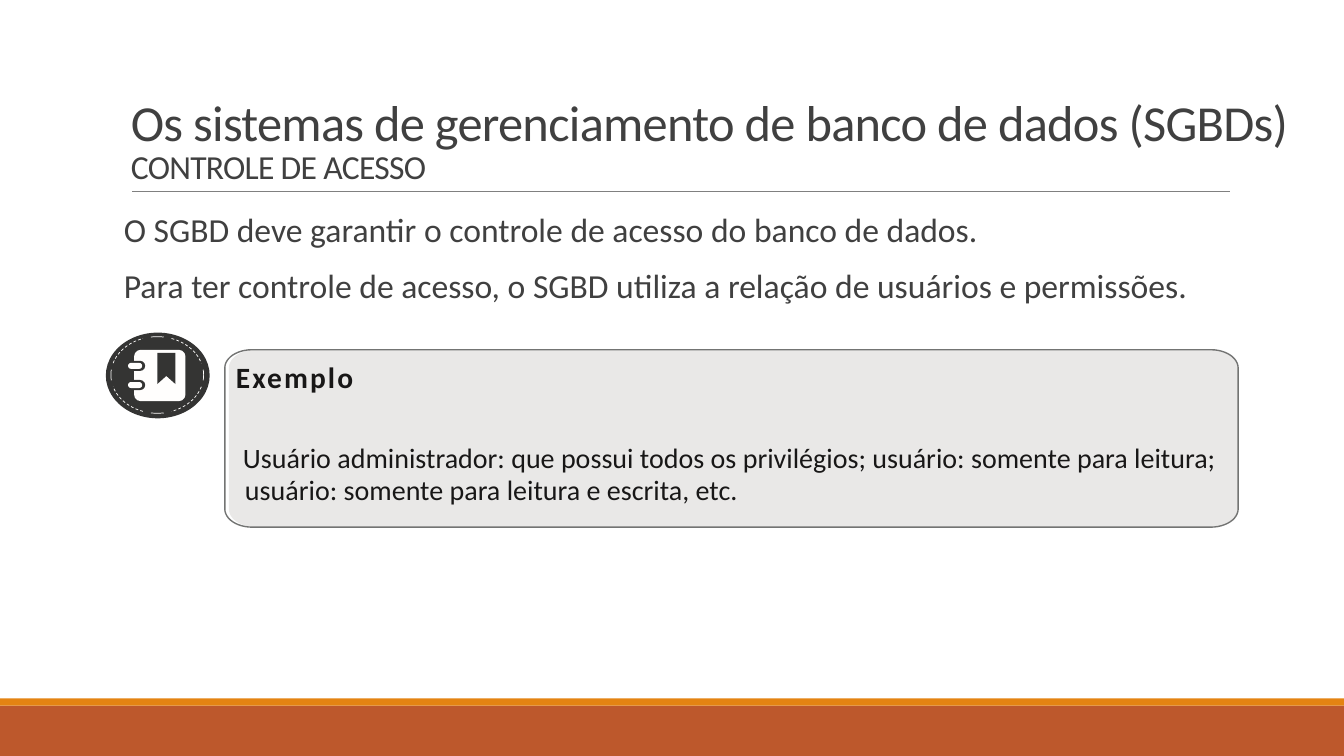
"""Build a slide on access control in database management systems."""
from math import cos, pi, radians, sin
from lxml.etree import SubElement
from pptx import Presentation
from pptx.dml.color import RGBColor
from pptx.enum.dml import MSO_LINE
from pptx.enum.shapes import MSO_CONNECTOR, MSO_SHAPE
from pptx.enum.text import MSO_ANCHOR
from pptx.oxml.ns import qn
from pptx.util import Inches, Pt

deck = Presentation()
deck.slide_width, deck.slide_height = Inches(13.33), Inches(7.5)
slide = deck.slides.add_slide(deck.slide_layouts[6])
shapes = slide.shapes
DARK, WHITE = "343433", "FFFEFD"


def paint(shape, fill=None, line=None, width=0.5):
    shape.shadow.inherit = False
    if fill:
        shape.fill.solid()
        shape.fill.fore_color.rgb = RGBColor.from_string(fill)
    else:
        shape.fill.background()
    if line:
        shape.line.color.rgb = RGBColor.from_string(line)
        shape.line.width = Pt(width)
    else:
        shape.line.fill.background()
    return shape


def write(box, inset, paras, color, space=1.0, before=0, after=0, track=0, bold=False):
    frame = shapes.add_textbox(*map(Inches, box)).text_frame
    frame.word_wrap = True
    frame.margin_left, frame.margin_top, frame.margin_right, frame.margin_bottom = map(Inches, inset)
    for i, runs in enumerate(paras):
        para = frame.add_paragraph() if i else frame.paragraphs[0]
        para.line_spacing = space
        para.space_before, para.space_after = Pt(before), Pt(after)
        for j, (words, size) in enumerate(runs):
            if j:
                para.add_line_break()
            run = para.add_run()
            run.text = words
            run.font.name, run.font.size, run.font.bold = "Calibri", Pt(size), bold
            run.font.color.rgb = RGBColor.from_string(color)
            if track:
                run.font._element.set("spc", str(int(track * 100)))
    return frame


for top, high, color in [(7, 0.5, "BD582C"), (6.93, 0.07, "E48312")]:
    paint(shapes.add_shape(MSO_SHAPE.RECTANGLE, 0, Inches(top), Inches(13.33), Inches(high)), color)

rule = shapes.add_connector(MSO_CONNECTOR.STRAIGHT, Inches(1.31), Inches(1.9), Inches(12.2), Inches(1.9))
rule.line.color.rgb = RGBColor.from_string("808080")
rule.line.width = Pt(0.5)
SubElement(rule._element.spPr, qn("a:effectLst"))

title = write((1.2, 0.31, 11.74, 1.59), (0.1, 0.05, 0.1, 0.05),
              [[("Os sistemas de gerenciamento de banco de dados (SGBDs)", 36), ("CONTROLE DE ACESSO", 24)]],
              "404040", space=0.85, track=-0.5)
title.vertical_anchor = MSO_ANCHOR.BOTTOM

write((1.13, 2.07, 11, 4.4), (0.1, 0.05, 0, 0.05),
      [[("O SGBD deve garantir o controle de acesso do banco de dados.", 24)],
       [("Para ter controle de acesso, o SGBD utiliza a relação de usuários e permissões.", 24)]],
      "404040", space=0.9, before=12, after=2)

for left, right, fill, line in [(2.27, 12.28, "E9E8E7", None), (2.23, 12.28, None, "737473")]:
    top, base, rx, ry = 3.47, 5.23, 0.27, 0.18
    hubs = [(right - rx, base - ry), (left + rx, base - ry), (left + rx, top + ry), (right - rx, top + ry)]
    dots = []
    for turn, (x, y) in enumerate(hubs):
        for step in range(13):
            angle = (turn + step / 12) * pi / 2
            dots.append((Inches(x + rx * cos(angle)), Inches(y + ry * sin(angle))))
    pen = shapes.build_freeform(*dots[0])
    pen.add_line_segments(dots[1:], close=True)
    paint(pen.convert_to_shape(), fill, line, 1)

paint(shapes.add_shape(MSO_SHAPE.OVAL, Inches(1.05), Inches(3.3), Inches(1.03), Inches(0.85)), DARK)
for mid in range(0, 360, 45):
    long = mid % 90 == 45
    half = 27 if long else 8
    dots = []
    for step in range(-8, 9):
        angle = radians(mid + half * step / 8)
        dots.append((Inches(1.56 + 0.46 * cos(angle)), Inches(3.72 + 0.38 * sin(angle))))
    pen = shapes.build_freeform(*dots[0])
    pen.add_line_segments(dots[1:], close=False)
    stitch = paint(pen.convert_to_shape(), line=WHITE)
    if long:
        stitch.line.dash_style = MSO_LINE.DASH

pads = [(1.33, 3.47, 0.51, 0.51, 0.13, WHITE)]
for mid in (3.63, 3.82):
    pads.append((1.24, mid - 0.05, 0.2, 0.1, 0.5, DARK))
    pads.append((1.27, mid - 0.03, 0.14, 0.06, 0.5, WHITE))
for left, top, wide, high, curve, color in pads:
    pad = shapes.add_shape(MSO_SHAPE.ROUNDED_RECTANGLE, *map(Inches, (left, top, wide, high)))
    pad.adjustments[0] = curve
    paint(pad, color)

pen = shapes.build_freeform(Inches(1.56), Inches(3.5))
pen.add_line_segments([(Inches(x), Inches(y)) for x, y in
                       [(1.74, 3.5), (1.74, 3.81), (1.65, 3.73), (1.56, 3.81)]], close=True)
paint(pen.convert_to_shape(), DARK)

write((2.34, 3.56, 2, 0.35), (0, 0, 0, 0), [[("Exemplo", 21)]], "181717", track=1.5, bold=True)
for left, top, words in [
    (2.41, 4.35, "Usuário administrador: que possui todos os privilégios; usuário: somente para leitura;"),
    (2.43, 4.66, "usuário: somente para leitura e escrita, etc."),
]:
    write((left, top, 9.82, 0.27), (0, 0, 0, 0), [[(words, 20)]], "181717", space=1.07, after=8)

deck.save("out.pptx")
